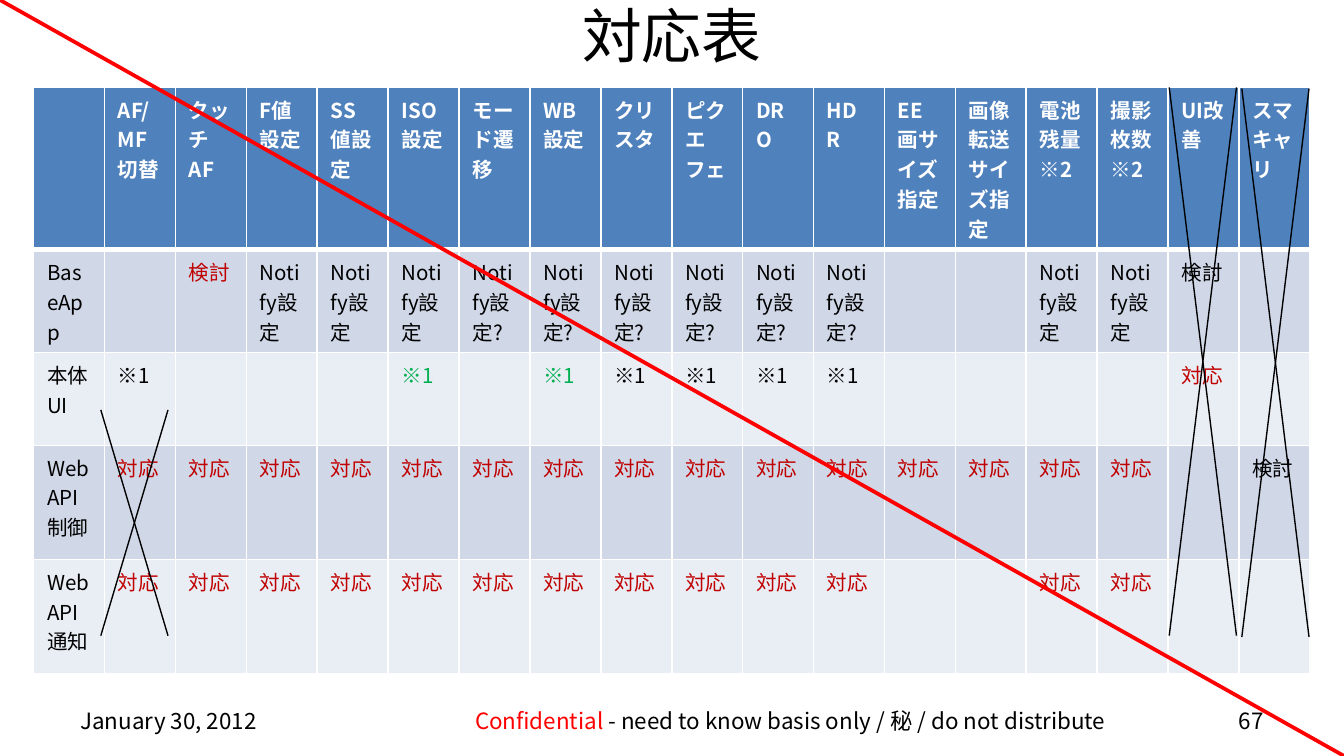
from dataclasses import dataclass

import pptx
import pptx.dml.color
import pptx.enum.shapes
import pptx.enum.text
import pptx.oxml
import pptx.oxml.ns
import pptx.util
from lxml import etree

Inches = pptx.util.Inches
Pt = pptx.util.Pt
ALIGN = pptx.enum.text.PP_ALIGN
PAGE_WIDTH = 10
PAGE_HEIGHT = PAGE_WIDTH * 9 / 16


@dataclass(frozen=True)
class Theme:
    font: str = "Noto Sans CJK JP"
    ink: str = "000000"
    white: str = "FFFFFF"
    done: str = "C00000"
    partial: str = "00B050"
    alert: str = "FF0000"
    header: str = "4F81BD"
    bands: tuple = ("D0D8E8", "E9EDF4")
    title_size: int = 32
    table_size: int = 11
    footer_size: int = 12


THEME = Theme()

DONE = ("対応", THEME.done)
REVIEW = ("検討", THEME.ink)
REVIEW_RED = ("検討", THEME.done)
NOTE = ("※1", THEME.ink)
NOTE_GREEN = ("※1", THEME.partial)
NOTIFY = ("Notify設定", THEME.ink)
NOTIFY_MAYBE = ("Notify設定?", THEME.ink)
BLANK = ("", THEME.ink)

FEATURES = ["", "AF/MF切替", "タッチAF", "F値設定", "SS値設定", "ISO設定",
            "モード遷移", "WB設定", "クリスタ", "ピクエフェ", "DRO", "HDR",
            "EE画サイズ指定", "画像転送サイズ指定", "電池残量※2",
            "撮影枚数※2", "UI改善", "スマキャリ"]
SUPPORT = {
    "BaseApp": [BLANK, REVIEW_RED] + [NOTIFY] * 3 + [NOTIFY_MAYBE] * 6
    + [BLANK] * 2 + [NOTIFY] * 2 + [REVIEW, BLANK],
    "本体UI": [NOTE] + [BLANK] * 3 + [NOTE_GREEN, BLANK, NOTE_GREEN]
    + [NOTE] * 4 + [BLANK] * 4 + [DONE, BLANK],
    "Web API 制御": [DONE] * 15 + [BLANK, REVIEW],
    "Web API 通知": [DONE] * 11 + [BLANK] * 2 + [DONE] * 2 + [BLANK] * 2,
}
ROW_HEIGHTS = [0.83, 0.69, 0.69, 0.85, 0.85]


def rgb(value):
    return pptx.dml.color.RGBColor.from_string(value)


def add_span(para, text, size, color, bold=False):
    span = para.add_run()
    span.text = text
    formats = {"name": THEME.font, "size": Pt(size), "bold": bold}
    for name, value in formats.items():
        setattr(span.font, name, value)
    span.font.color.rgb = rgb(color)
    east_asian = etree.SubElement(span.font._element, pptx.oxml.ns.qn("a:ea"))
    east_asian.set("typeface", THEME.font)


def place(shape, box):
    for name, value in zip(("left", "top", "width", "height"), box):
        setattr(shape, name, Inches(value))


def add_title(page, box, text):
    title = page.shapes.title
    place(title, box)
    frame = title.text_frame
    frame.vertical_anchor = pptx.enum.text.MSO_ANCHOR.MIDDLE
    frame.paragraphs[0].alignment = ALIGN.CENTER
    add_span(frame.paragraphs[0], text, THEME.title_size, THEME.ink)


def set_borders(cell, widths):
    """Draw white cell borders; widths are points for left, right, top, bottom."""
    properties = cell._tc.get_or_add_tcPr()
    for index, (side, width) in enumerate(zip("LRTB", widths)):
        line = pptx.oxml.parse_xml(
            f'<a:ln{side} {pptx.oxml.ns.nsdecls("a")} w="{Pt(width)}">'
            f'<a:solidFill><a:srgbClr val="{THEME.white}"/></a:solidFill>'
            f'</a:ln{side}>')
        properties.insert(index, line)


def fill_cell(cell, text, color, fill, bold):
    cell.fill.solid()
    cell.fill.fore_color.rgb = rgb(fill)
    if text:
        para = cell.text_frame.paragraphs[0]
        para.alignment = ALIGN.LEFT
        add_span(para, text, THEME.table_size, color, bold)


def add_support_table(page, box):
    rows = [[(name, THEME.white) for name in FEATURES]]
    rows += [[(name, THEME.ink)] + marks for name, marks in SUPPORT.items()]
    lengths = [Inches(value) for value in box]
    table = page.shapes.add_table(len(rows), len(FEATURES), *lengths).table
    table.horz_banding = False
    for column in table.columns:
        column.width = Inches(box[2] / len(FEATURES))
    for r, entries in enumerate(rows):
        table.rows[r].height = Inches(ROW_HEIGHTS[r])
        header = r == 0
        fill = THEME.header if header else THEME.bands[(r - 1) % 2]
        widths = (1, 1, 3 if r == 1 else 1, 3 if header else 1)
        for c, (text, color) in enumerate(entries):
            cell = table.cell(r, c)
            fill_cell(cell, text, color, fill, header)
            set_borders(cell, widths)


def add_footer(page, box):
    left, top, width, height = box
    parts = [
        (0, 2.33, ALIGN.LEFT, [("January 30, 2012", THEME.ink)]),
        (2.92, 4.92, ALIGN.CENTER, [
            ("Confidential", THEME.alert),
            (" - need to know basis only / 秘 / do not distribute", THEME.ink)]),
        (width - 0.5, 0.5, ALIGN.RIGHT, [("67", THEME.ink)]),
    ]
    for offset, part_width, alignment, spans in parts:
        label = page.shapes.add_textbox(
            Inches(left + offset), Inches(top), Inches(part_width), Inches(height))
        frame = label.text_frame
        frame.word_wrap = True
        frame.vertical_anchor = pptx.enum.text.MSO_ANCHOR.MIDDLE
        frame.paragraphs[0].alignment = alignment
        for text, color in spans:
            add_span(frame.paragraphs[0], text, THEME.footer_size, color)


def add_line(page, start, end, color, width):
    line = page.shapes.add_connector(
        pptx.enum.shapes.MSO_CONNECTOR.STRAIGHT,
        *[Inches(value) for value in (*start, *end)])
    line.line.color.rgb = rgb(color)
    line.line.width = Pt(width)
    etree.SubElement(line._element.spPr, pptx.oxml.ns.qn("a:effectLst"))


def add_cross(page, box):
    left, top, width, height = box
    right, bottom = left + width, top + height
    add_line(page, (right, bottom), (left, top), THEME.ink, 0.75)
    add_line(page, (left, bottom), (right, top), THEME.ink, 0.75)


def main():
    deck = pptx.Presentation()
    deck.slide_width, deck.slide_height = Inches(PAGE_WIDTH), Inches(PAGE_HEIGHT)
    page = deck.slides.add_slide(deck.slide_layouts.get_by_name("Title Only"))
    add_title(page, (0.5, -0.02, 9, 0.55), "対応表")
    add_support_table(page, (0.25, 0.65, 9.5, 4.1))
    add_footer(page, (0.5, 5.21, 9, 0.3))
    for box in [(0.75, 3.05, 0.5, 1.68), (8.7, 0.65, 0.5, 4.08),
                (9.24, 0.66, 0.5, 4.08)]:
        add_cross(page, box)
    add_line(page, (0, 0), (PAGE_WIDTH, PAGE_HEIGHT), THEME.alert, 2)
    deck.save("out.pptx")


if __name__ == "__main__":
    main()
